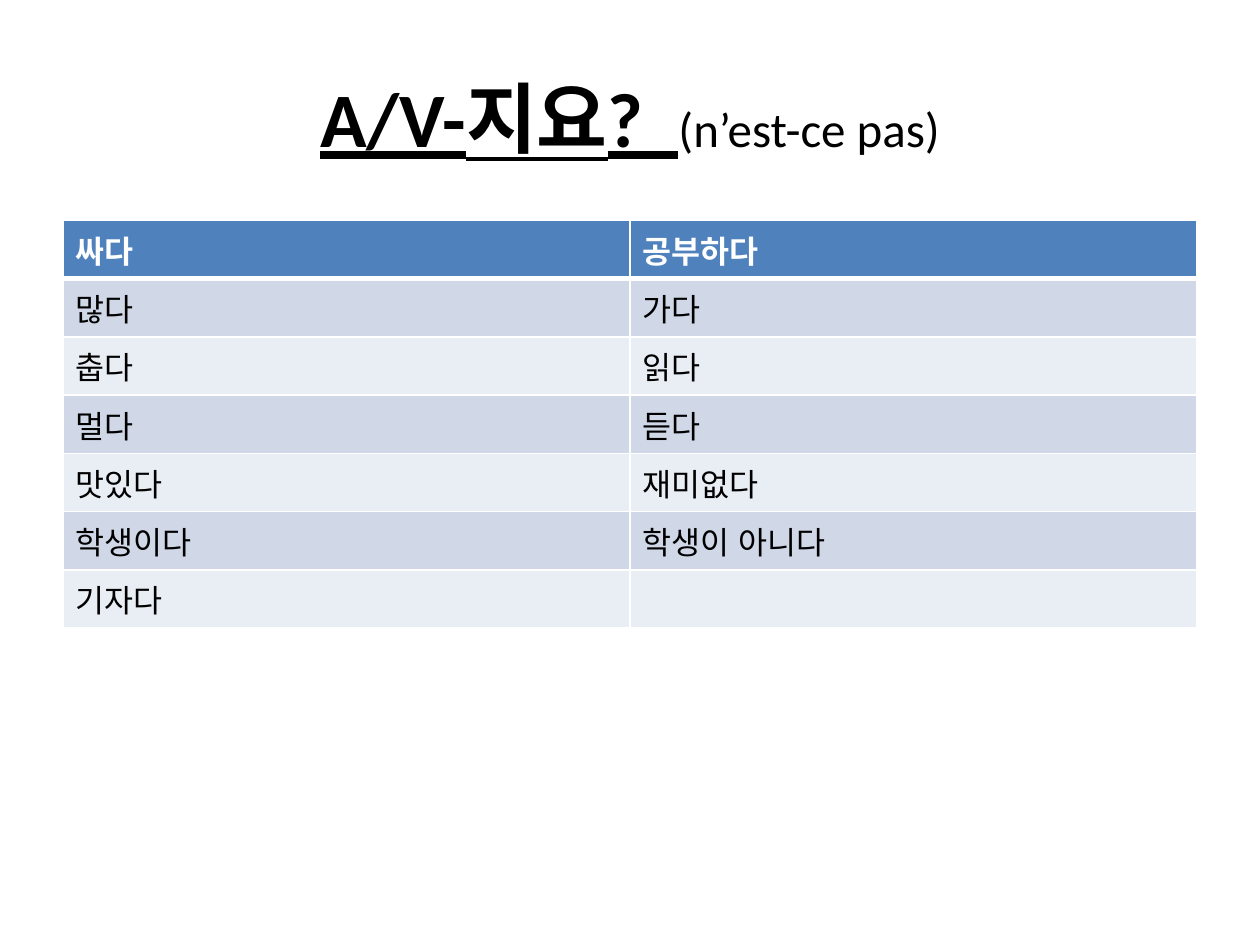
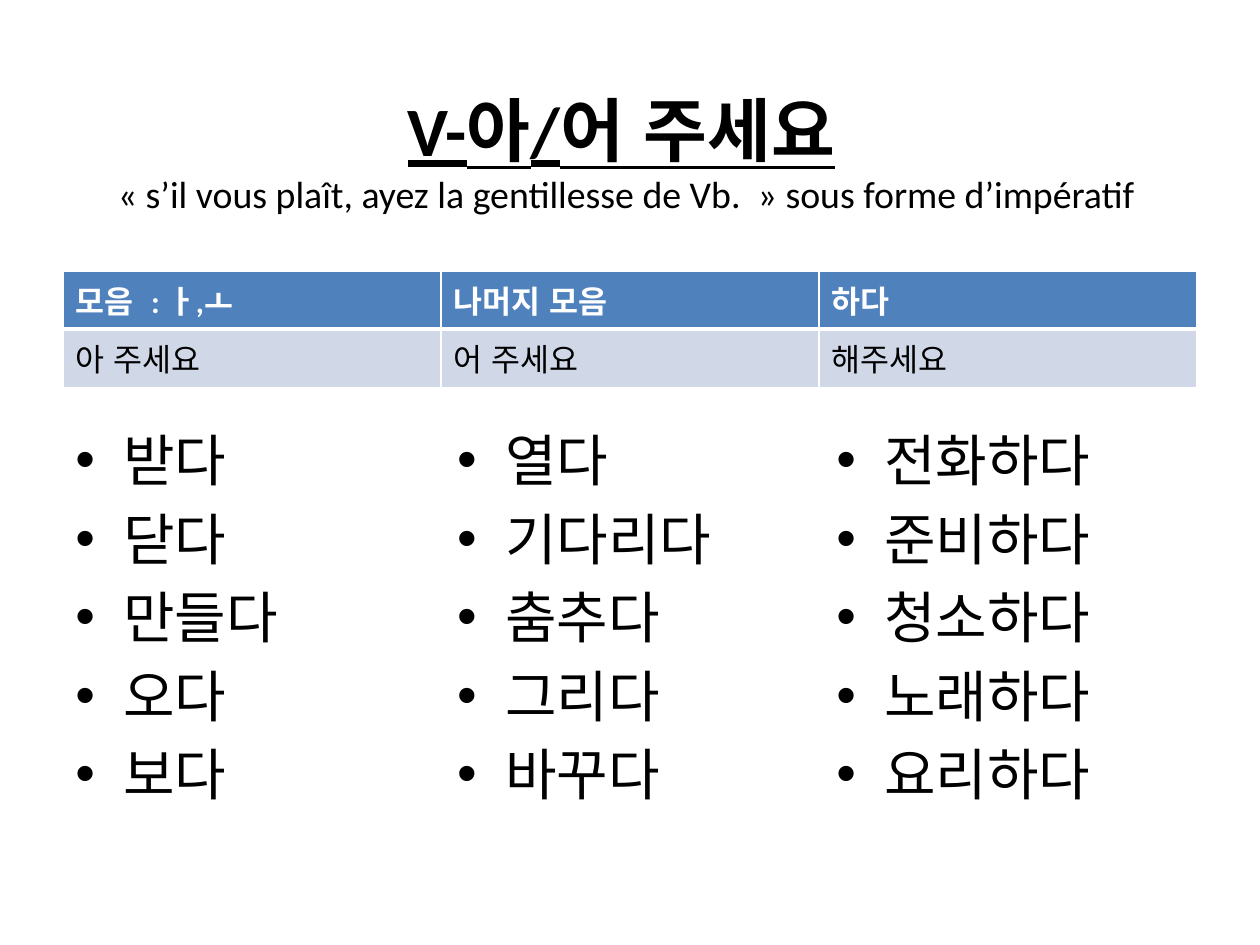
import copy
from dataclasses import dataclass

from lxml import etree
from pptx import Presentation
from pptx import util as u
from pptx.dml.color import RGBColor
from pptx.enum import lang, text
from pptx.oxml.ns import qn

COLORS = {
    "text": "000000",
    "white": "FFFFFF",
    "header": "4F81BD",
    "band_dark": "D0D8E8",
    "band_light": "E9EDF4",
}
FONT = "Calibri"
KOREAN = lang.MSO_LANGUAGE_ID.KOREAN
FRENCH = lang.MSO_LANGUAGE_ID.FRENCH
MARGIN = 0.5
CONTENT_W = 9
ROW_H = 0.41


@dataclass(frozen=True)
class Box:
    left: float
    top: float
    width: float
    height: float

    def emu(self) -> list[int]:
        return [u.Inches(v) for v in (self.left, self.top, self.width, self.height)]


@dataclass(frozen=True)
class Title:
    box: Box
    form: str
    form_size: float
    gloss: str
    gloss_size: float
    two_lines: bool = False


@dataclass(frozen=True)
class Grid:
    top: float
    rows: list[tuple[str, ...]]


@dataclass(frozen=True)
class VerbList:
    box: Box
    verbs: list[str]


def style_run(r, size: float, color: str = "text", bold: bool = False,
              underline: bool = False, language=KOREAN) -> None:
    r.font.name = FONT
    r.font.size = u.Pt(size)
    r.font.bold = bold
    r.font.underline = underline
    r.font.language_id = language
    r.font.color.rgb = RGBColor.from_string(COLORS[color])


def add_title_slide(prs, title: Title):
    s = prs.slides.add_slide(prs.slide_layouts[5])
    sp = s.shapes.title
    sp.left, sp.top, sp.width, sp.height = title.box.emu()
    tf = sp.text_frame
    tf.word_wrap = True
    tf.auto_size = text.MSO_AUTO_SIZE.NONE
    tf.vertical_anchor = text.MSO_ANCHOR.MIDDLE
    p = tf.paragraphs[0]
    p.alignment = text.PP_ALIGN.CENTER
    r = p.add_run()
    r.text = title.form
    style_run(r, title.form_size, bold=True, underline=True)
    if title.two_lines:
        p.add_line_break()
        p._p.find(qn("a:br")).append(copy.deepcopy(r._r.rPr))
    r = p.add_run()
    r.text = title.gloss
    style_run(r, title.gloss_size, language=FRENCH)
    return s


def set_borders(cell, widths: dict[str, float]) -> None:
    tc_pr = cell._tc.get_or_add_tcPr()
    for side in "LRTB":
        ln = etree.SubElement(tc_pr, qn(f"a:ln{side}"), w=str(u.Pt(widths.get(side, 1))))
        fill = etree.SubElement(ln, qn("a:solidFill"))
        etree.SubElement(fill, qn("a:srgbClr"), val=COLORS["white"])


def add_grid(s, grid: Grid) -> None:
    n_rows, n_cols = len(grid.rows), len(grid.rows[0])
    box = Box(MARGIN, grid.top, CONTENT_W, ROW_H * n_rows)
    table = s.shapes.add_table(n_rows, n_cols, *box.emu()).table
    for col in table.columns:
        col.width = u.Inches(CONTENT_W / n_cols)
    for i, row in enumerate(grid.rows):
        table.rows[i].height = u.Inches(ROW_H)
        header = i == 0
        band = "header" if header else ("band_dark" if i % 2 else "band_light")
        for j, word in enumerate(row):
            cell = table.cell(i, j)
            set_borders(cell, {0: {"B": 3}, 1: {"T": 3}}.get(i, {}))
            cell.fill.solid()
            cell.fill.fore_color.rgb = RGBColor.from_string(COLORS[band])
            cell.text_frame.text = word
            for r in cell.text_frame.paragraphs[0].runs:
                style_run(r, 18, "white" if header else "text", bold=header)


def add_verb_list(s, verb_list: VerbList) -> None:
    tf = s.shapes.add_textbox(*verb_list.box.emu()).text_frame
    tf.word_wrap = True
    tf.text = "\n".join(verb_list.verbs)
    for p in tf.paragraphs:
        p.space_before = u.Pt(6.4)
        p_pr = p._p.get_or_add_pPr()
        p_pr.set("marL", str(u.Inches(0.38)))
        p_pr.set("indent", str(u.Inches(-0.38)))
        etree.SubElement(p_pr, qn("a:buFont"), typeface="Arial")
        etree.SubElement(p_pr, qn("a:buChar"), char="•")
        style_run(p.runs[0], 32)


def build_tag_question(prs) -> None:
    s = add_title_slide(prs, Title(
        Box(MARGIN, 0.3, CONTENT_W, 1.25), "A/V-지요?  ", 44, "(n’est-ce pas)", 28))
    add_grid(s, Grid(1.75, [
        ("싸다", "공부하다"),
        ("많다", "가다"),
        ("춥다", "읽다"),
        ("멀다", "듣다"),
        ("맛있다", "재미없다"),
        ("학생이다", "학생이 아니다"),
        ("기자다", ""),
    ]))


def build_polite_request(prs) -> None:
    s = add_title_slide(prs, Title(
        Box(0, 0.75, 9.86, 0.91), "V-아/어 주세요", 39.6,
        " « s’il vous plaît, ayez la gentillesse de Vb.  » sous forme d’impératif",
        21.6, two_lines=True))
    add_grid(s, Grid(2.15, [
        ("모음  : ㅏ,ㅗ", "나머지 모음", "하다"),
        ("아 주세요", "어 주세요", "해주세요"),
    ]))
    for left, width, verbs in (
        (0.5, 3.03, ["받다", "닫다", "만들다", "오다", "보다"]),
        (3.53, 3.01, ["열다", "기다리다", "춤추다", "그리다", "바꾸다"]),
        (6.54, 2.96, ["전화하다", "준비하다", "청소하다", "노래하다", "요리하다"]),
    ):
        add_verb_list(s, VerbList(Box(left, 3.33, width, 4.14), verbs))


def main() -> None:
    prs = Presentation()
    prs.slide_width, prs.slide_height = u.Inches(10), u.Inches(7.5)
    build_tag_question(prs)
    build_polite_request(prs)
    prs.save("out.pptx")


if __name__ == "__main__":
    main()
